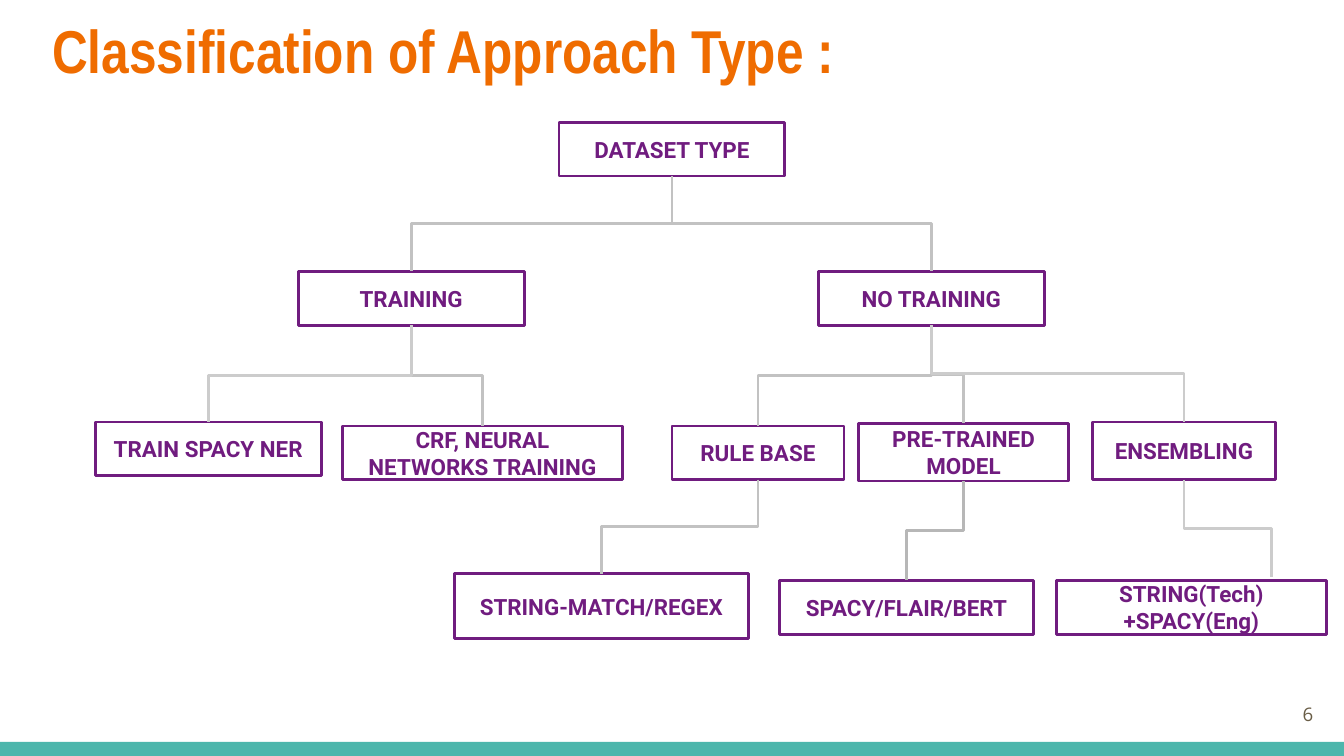
from lxml import etree
from pptx import Presentation
from pptx.dml.color import RGBColor
from pptx.enum.shapes import MSO_CONNECTOR, MSO_SHAPE
from pptx.enum.text import MSO_ANCHOR, PP_ALIGN
from pptx.oxml.ns import qn
from pptx.util import Inches, Pt

ELBOW = MSO_CONNECTOR.ELBOW
RECTANGLE = MSO_SHAPE.RECTANGLE
PROCESS = MSO_SHAPE.FLOWCHART_PROCESS
TOP, MIDDLE = MSO_ANCHOR.TOP, MSO_ANCHOR.MIDDLE
LEFT, CENTER, RIGHT = PP_ALIGN.LEFT, PP_ALIGN.CENTER, PP_ALIGN.RIGHT
PURPLE, TEAL, ORANGE, BROWN, WHITE = "701C7F", "4DB6AC", "EF6C00", "695D46", "FFFFFF"
GREY, DARK_GREY, LIGHT_GREY = "C2C2C2", "B7B7B7", "CCCCCC"


def rgb(value):
    return RGBColor.from_string(value)


def write(shape, text, size, font, color, align, anchor, bold):
    frame = shape.text_frame
    frame.word_wrap = True
    frame.vertical_anchor = anchor
    frame.margin_left = frame.margin_right = Inches(0.1)
    frame.margin_top = frame.margin_bottom = Inches(0.1)
    paragraph = frame.paragraphs[0]
    paragraph.alignment = align
    run = paragraph.add_run()
    run.text = text
    run.font.size = Pt(size)
    run.font.name = font
    run.font.bold = bold
    run.font.color.rgb = rgb(color)


prs = Presentation()
prs.slide_width = Inches(10)
prs.slide_height = Inches(10 * 9 / 16)
slide = prs.slides.add_slide(prs.slide_layouts[6])
shapes = slide.shapes

footer_band = shapes.add_shape(RECTANGLE, Inches(0), Inches(5.52), Inches(10), Inches(0.11))
footer_band.shadow.inherit = False
footer_band.fill.solid()
footer_band.fill.fore_color.rgb = rgb(TEAL)
footer_band.line.fill.background()

title = shapes.add_textbox(Inches(0.29), Inches(0), Inches(9.32), Inches(0.77))
write(title, "Classification of Approach Type :", 32.4, "Arial Narrow", ORANGE, LEFT, TOP, True)

page_number = shapes.add_textbox(Inches(9.27), Inches(5.1), Inches(0.6), Inches(0.43))
write(page_number, "6", 10, "Open Sans", BROWN, RIGHT, MIDDLE, False)

categories = [
    ("DATASET TYPE", 4.16, 0.91, 1.68, 0.4),
    ("TRAINING", 2.22, 2.02, 1.68, 0.4),
    ("NO TRAINING", 6.09, 2.02, 1.68, 0.4),
    ("PRE-TRAINED MODEL", 6.39, 3.15, 1.56, 0.43),
    ("RULE BASE", 5, 3.17, 1.28, 0.4),
    ("CRF, NEURAL NETWORKS TRAINING", 2.55, 3.17, 2.08, 0.4),
    ("TRAIN SPACY NER", 0.71, 3.14, 1.68, 0.4),
    ("SPACY/FLAIR/BERT", 5.8, 4.32, 1.89, 0.4),
    ("STRING-MATCH/REGEX", 3.38, 4.27, 2.19, 0.48),
    ("STRING(Tech)+SPACY(Eng)", 7.86, 4.32, 2.01, 0.4),
    ("ENSEMBLING", 8.13, 3.14, 1.36, 0.43),
]
boxes = {}
for label, left, top, width, height in categories:
    preset = PROCESS if label == "ENSEMBLING" else RECTANGLE
    box = shapes.add_shape(preset, Inches(left), Inches(top), Inches(width), Inches(height))
    box.shadow.inherit = False
    if preset == PROCESS:
        box.fill.solid()
        box.fill.fore_color.rgb = rgb(WHITE)
    else:
        box.fill.background()
    box.line.color.rgb = rgb(PURPLE)
    box.line.width = Pt(1.5)
    write(box, label, 12, "Roboto", PURPLE, CENTER, MIDDLE, True)
    boxes[label] = box

branches = [
    ("DATASET TYPE", "NO TRAINING", GREY, 50000),
    ("DATASET TYPE", "TRAINING", GREY, 50000),
    ("TRAINING", "CRF, NEURAL NETWORKS TRAINING", GREY, 50000),
    ("NO TRAINING", "PRE-TRAINED MODEL", GREY, 50000),
    ("NO TRAINING", "RULE BASE", GREY, 50000),
    ("RULE BASE", "STRING-MATCH/REGEX", GREY, 50000),
    ("PRE-TRAINED MODEL", "SPACY/FLAIR/BERT", DARK_GREY, 50000),
    ("ENSEMBLING", "STRING(Tech)+SPACY(Eng)", LIGHT_GREY, 50000),
    ("TRAINING", "TRAIN SPACY NER", LIGHT_GREY, 51900),
    ("NO TRAINING", "ENSEMBLING", LIGHT_GREY, 50000),
]
for parent, child, color, bend in branches:
    branch = shapes.add_connector(ELBOW, 0, 0, Inches(9.46), Inches(4.29))
    branch.begin_connect(boxes[parent], 2)
    if parent != "ENSEMBLING":
        branch.end_connect(boxes[child], 0)
    branch.line.color.rgb = rgb(color)
    branch.line.width = Pt(1.5)

    rightward = branch.end_x > branch.begin_x
    span, drop = branch.width, branch.height
    branch.left += (span - drop) // 2
    branch.top += (drop - span) // 2
    branch.width, branch.height = drop, span
    properties = branch._element.spPr
    transform = properties.find(qn("a:xfrm"))
    transform.set("rot", "16200000" if rightward else "5400000")
    transform.set("flipH", "1" if rightward else "0")
    geometry = properties.find(qn("a:prstGeom"))
    adjustments = geometry.find(qn("a:avLst"))
    etree.SubElement(adjustments, qn("a:gd"), name="adj1", fmla=f"val {bend}")
    etree.SubElement(properties, qn("a:effectLst"))

prs.save("out.pptx")
